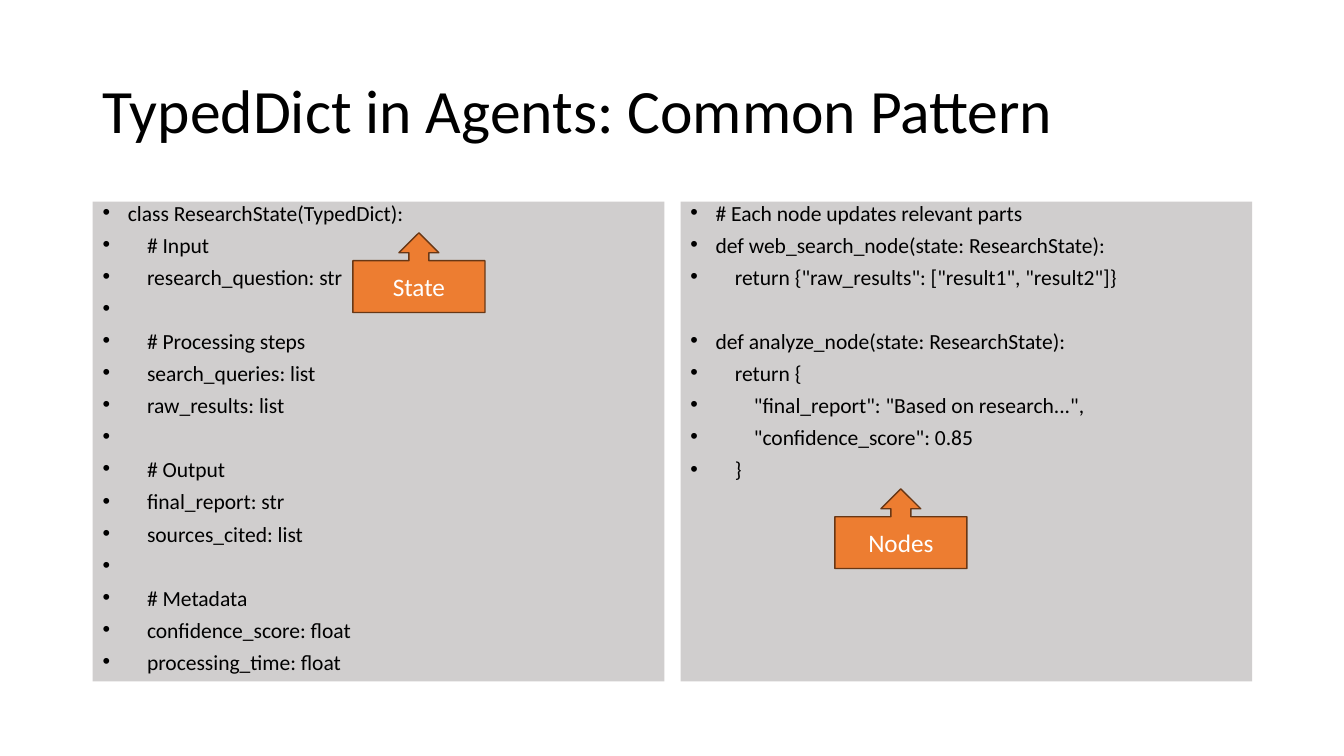
from dataclasses import dataclass
from typing import Any

from lxml import etree
from pptx import Presentation
from pptx.dml.color import RGBColor
from pptx.enum.shapes import MSO_SHAPE
from pptx.enum.text import MSO_ANCHOR, PP_ALIGN
from pptx.oxml.ns import qn
from pptx.util import Inches, Pt

RECTANGLE = MSO_SHAPE.RECTANGLE
UP_CALLOUT = MSO_SHAPE.UP_ARROW_CALLOUT
TOP, MIDDLE = MSO_ANCHOR.TOP, MSO_ANCHOR.MIDDLE
LEFT, CENTER = PP_ALIGN.LEFT, PP_ALIGN.CENTER

COLORS = {
    "ink": "000000",
    "panel": "D0CECE",
    "callout": "ED7D31",
    "callout_edge": "683715",
    "callout_text": "FFFFFF",
}
BULLET_INDENT = 0.25
CODE_INDENT = 0.19
LINE_GAP = 10
BLANK_LINE = 23


@dataclass
class CodeLine:
    text: str
    level: int = 0
    extra_gap: float = 0


@dataclass
class CodePanel:
    left: float
    lines: list[CodeLine]


@dataclass
class Callout:
    left: float
    top: float
    label: str


PANELS = [
    CodePanel(0.92, [
        CodeLine("class ResearchState(TypedDict):"),
        CodeLine("# Input", 1),
        CodeLine("research_question: str", 1),
        CodeLine(" "),
        CodeLine("# Processing steps", 1),
        CodeLine("search_queries: list", 1),
        CodeLine("raw_results: list", 1),
        CodeLine(" "),
        CodeLine("# Output", 1),
        CodeLine("final_report: str", 1),
        CodeLine("sources_cited: list", 1),
        CodeLine(" "),
        CodeLine("# Metadata", 1),
        CodeLine("confidence_score: float", 1),
        CodeLine("processing_time: float", 1),
    ]),
    CodePanel(6.75, [
        CodeLine("# Each node updates relevant parts"),
        CodeLine("def web_search_node(state: ResearchState):"),
        CodeLine('return {"raw_results": ["result1", "result2"]}', 1),
        CodeLine("def analyze_node(state: ResearchState):", 0, BLANK_LINE),
        CodeLine("return {", 1),
        CodeLine('"final_report": "Based on research...",', 2),
        CodeLine('"confidence_score": 0.85', 2),
        CodeLine("}", 1),
    ]),
]
CALLOUTS = [Callout(3.5, 2.31, "State"), Callout(8.28, 4.85, "Nodes")]


def rgb(name: str) -> RGBColor:
    return RGBColor.from_string(COLORS[name])


def apply_format(target: Any, values: dict[str, Any]) -> None:
    for attribute, value in values.items():
        setattr(target, attribute, value)


def write_line(paragraph: Any, text: str, size: float, color: str,
               layout: dict[str, Any]) -> None:
    apply_format(paragraph, layout)
    run = paragraph.add_run()
    run.text = text
    apply_format(run.font, {"name": "Calibri", "size": Pt(size)})
    run.font.color.rgb = rgb(color)


def add_bullet(paragraph: Any, level: int) -> None:
    margin = Inches(BULLET_INDENT + level * CODE_INDENT)
    properties = paragraph._p.get_or_add_pPr()
    properties.set("marL", str(margin))
    properties.set("indent", str(-margin))
    etree.SubElement(properties, qn("a:buFont")).set("typeface", "Arial")
    etree.SubElement(properties, qn("a:buChar")).set("char", "•")


def add_title(slide: Any, text: str) -> None:
    title = slide.shapes.add_textbox(
        Inches(0.92), Inches(0.4), Inches(11.5), Inches(1.45))
    frame = title.text_frame
    apply_format(frame, {"word_wrap": True, "vertical_anchor": MIDDLE})
    write_line(frame.paragraphs[0], text, 44, "ink", {"line_spacing": 0.9})


def add_panel(slide: Any, panel: CodePanel) -> None:
    code_box = slide.shapes.add_shape(
        RECTANGLE, Inches(panel.left), Inches(2), Inches(5.67), Inches(4.76))
    code_box.shadow.inherit = False
    code_box.fill.solid()
    code_box.fill.fore_color.rgb = rgb("panel")
    code_box.line.fill.background()
    frame = code_box.text_frame
    apply_format(frame, {"word_wrap": True, "vertical_anchor": TOP})
    for index, line in enumerate(panel.lines):
        paragraph = frame.add_paragraph() if index else frame.paragraphs[0]
        write_line(paragraph, line.text, 15.4, "ink", {
            "alignment": LEFT,
            "line_spacing": 0.7,
            "space_before": Pt(LINE_GAP + line.extra_gap),
        })
        add_bullet(paragraph, line.level)


def add_callout(slide: Any, callout: Callout) -> None:
    pointer = slide.shapes.add_shape(
        UP_CALLOUT, Inches(callout.left), Inches(callout.top),
        Inches(1.31), Inches(0.79))
    pointer.shadow.inherit = False
    pointer.fill.solid()
    pointer.fill.fore_color.rgb = rgb("callout")
    pointer.line.color.rgb = rgb("callout_edge")
    pointer.line.width = Pt(1)
    frame = pointer.text_frame
    apply_format(frame, {"word_wrap": True, "vertical_anchor": MIDDLE})
    write_line(frame.paragraphs[0], callout.label, 18, "callout_text",
               {"alignment": CENTER})


def main() -> None:
    deck = Presentation()
    apply_format(deck, {"slide_width": Inches(13.33), "slide_height": Inches(7.5)})
    slide = deck.slides.add_slide(deck.slide_layouts[6])
    add_title(slide, "TypedDict in Agents: Common Pattern")
    for panel in PANELS:
        add_panel(slide, panel)
    for callout in CALLOUTS:
        add_callout(slide, callout)
    deck.save("out.pptx")


if __name__ == "__main__":
    main()
